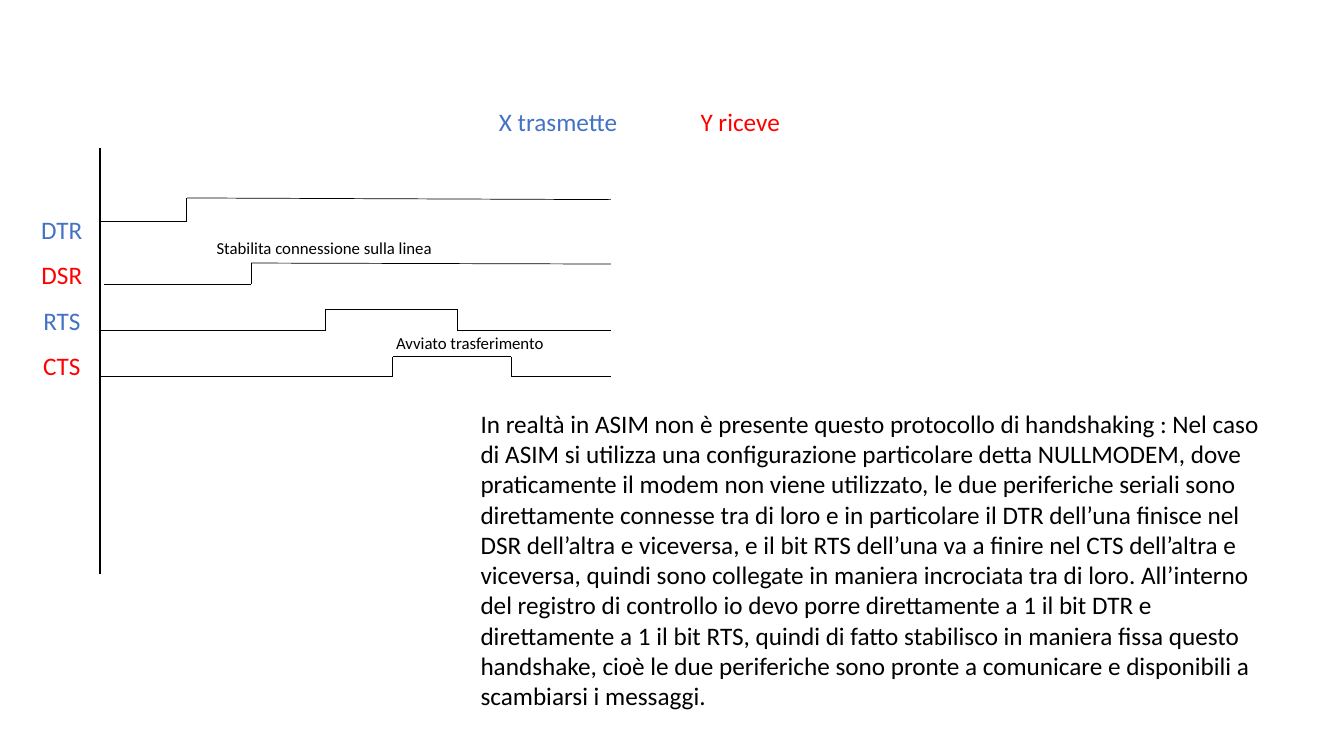
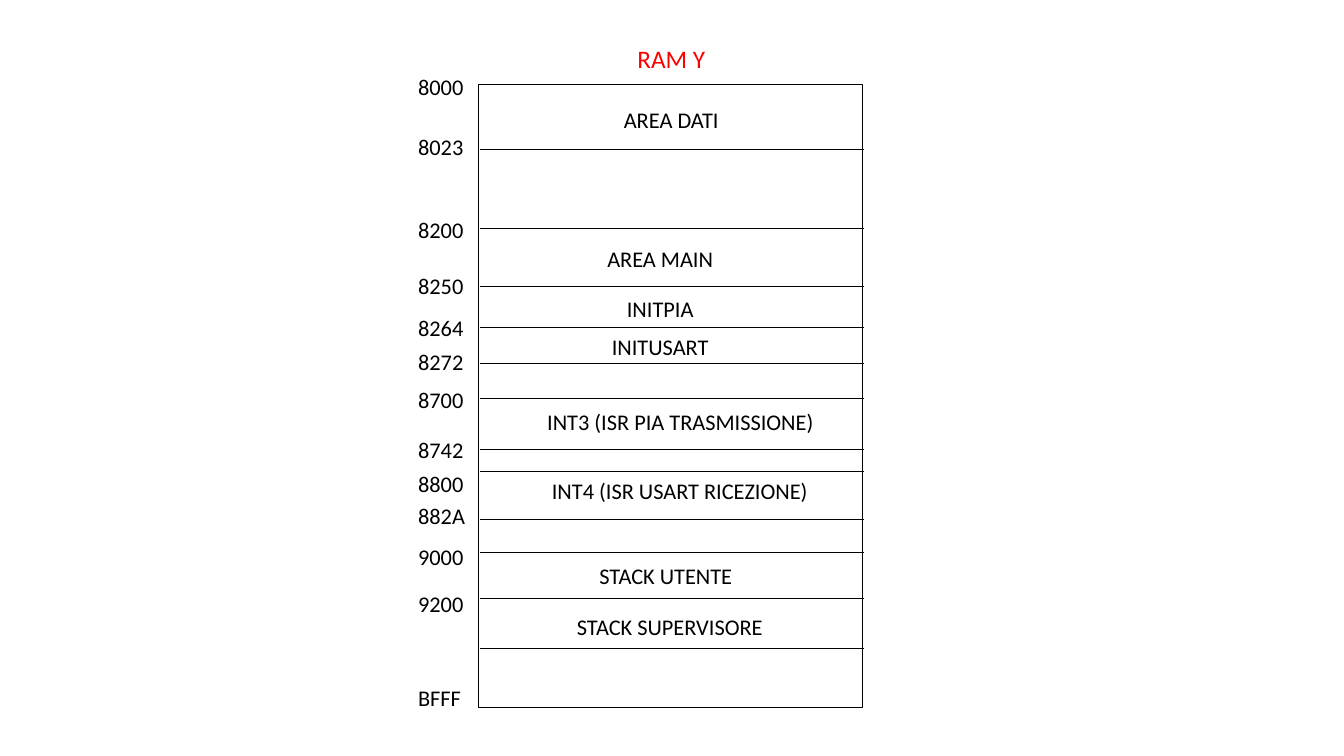
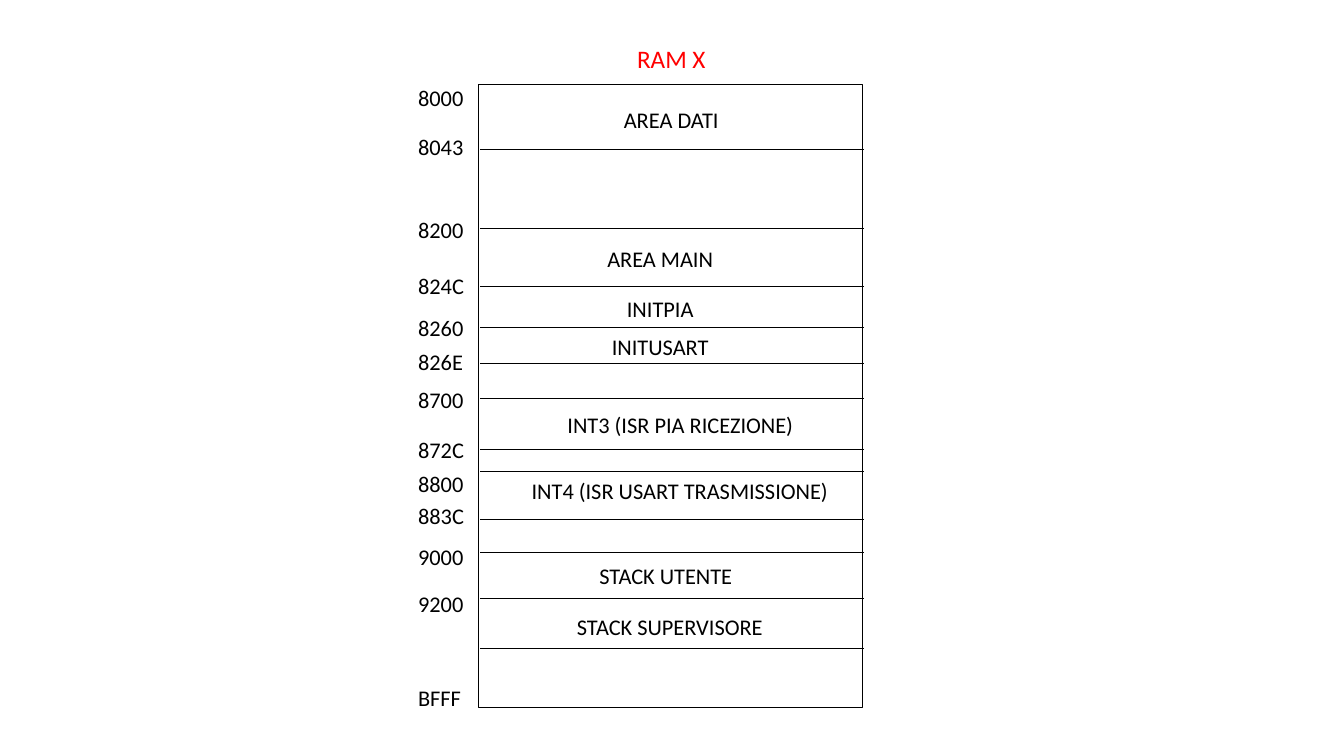
import pptx
import pptx.util
import pptx.dml.color
import pptx.enum.shapes
import pptx.enum.text
import pptx.oxml
import pptx.oxml.ns
import lxml.etree

Pt = pptx.util.Pt
Align = pptx.enum.text.PP_ALIGN
COLOURS = {"ink": "000000", "paper": "FFFFFF", "x": "4472C4", "y": "FF0000"}
FONT = "Calibri"
HEADING_SIZE, AREA_SIZE, NOTE_SIZE = 18, 16, 12


def colour(name):
    return pptx.dml.color.RGBColor.from_string(COLOURS[name])


class Deck:
    """Holds the shared style and the current slide."""

    def __init__(self):
        self.presentation = pptx.Presentation()
        self.presentation.slide_width = Pt(960)
        self.presentation.slide_height = Pt(540)
        self.slide = None

    def new_slide(self):
        self.slide = self.presentation.slides.add_slide(self.presentation.slide_layouts[5])

    def fill_text(self, shape, runs, size, align, wrap):
        frame = shape.text_frame
        frame.word_wrap = wrap
        frame.auto_size = pptx.enum.text.MSO_AUTO_SIZE.SHAPE_TO_FIT_TEXT
        frame.vertical_anchor = pptx.enum.text.MSO_ANCHOR.TOP
        paragraph = frame.paragraphs[0]
        paragraph.alignment = align
        # Tab stops one inch apart
        paragraph._p.get_or_add_pPr().set("defTabSz", str(Pt(72)))
        for text, name in runs:
            run = paragraph.add_run()
            run.text = text
            run.font.size = Pt(size)
            run.font.name = FONT
            run.font.color.rgb = colour(name)

    def title(self, runs, left, top, width, align=Align.CENTER):
        shape = self.slide.shapes.title
        shape.left, shape.top, shape.width, shape.height = Pt(left), Pt(top), Pt(width), Pt(28.8)
        self.fill_text(shape, runs, HEADING_SIZE, align, True)

    def text(self, text, left, top, width, height, size, name="ink", align=Align.LEFT, wrap=True):
        shape = self.slide.shapes.add_textbox(Pt(left), Pt(top), Pt(width), Pt(height))
        self.fill_text(shape, [(text, name)], size, align, wrap)

    def line(self, start, end, weight=0.5):
        connector = self.slide.shapes.add_connector(
            pptx.enum.shapes.MSO_CONNECTOR.STRAIGHT, Pt(start[0]), Pt(start[1]), Pt(end[0]), Pt(end[1]))
        connector.line.color.rgb = colour("ink")
        connector.line.width = Pt(weight)
        lxml.etree.SubElement(connector._element.spPr, pptx.oxml.ns.qn("a:effectLst"))

    def waveform(self, points):
        for start, end in zip(points, points[1:]):
            self.line(start, end)

    def frame(self, left, top, width, height):
        shape = self.slide.shapes.add_shape(
            pptx.enum.shapes.MSO_SHAPE.RECTANGLE, Pt(left), Pt(top), Pt(width), Pt(height))
        shape.shadow.inherit = False
        shape.fill.solid()
        shape.fill.fore_color.rgb = colour("paper")
        shape.line.color.rgb = colour("ink")
        shape.line.width = Pt(1)

    def memory_map(self, name, addresses, areas):
        self.new_slide()
        self.title([(name, "y")], 429.1, 27.4, 100.8)
        self.frame(MAP_LEFT, 60.5, MAP_WIDTH, 445)
        for y in DIVIDERS:
            self.line((MAP_LEFT + 1, y), (MAP_LEFT + MAP_WIDTH + 1, y))
        for address, top in addresses:
            self.text(address, 291.6, top, 50.4, 26.6, AREA_SIZE)
        for area, centre, top, width in areas:
            self.text(area, centre - width / 2, top, width, 26.6, AREA_SIZE, align=Align.CENTER)


deck = Deck()

# Slide 1: handshake timing
AXIS, END = 71.3, 436.3
deck.new_slide()
deck.title([("X trasmette\t", "x"), ("Y riceve", "y")], 349.2, 72, 217.4, Align.LEFT)
deck.line((AXIS, 105.8), (AXIS, 409.7), 1.5)
for index, (signal, side) in enumerate([("DTR", "x"), ("DSR", "y"), ("RTS", "x"), ("CTS", "y")]):
    deck.text(signal, 22.2, 149.8 + 32.2 * index, 44, 28.8, HEADING_SIZE, side, Align.CENTER, False)

# Lines that rise once and stay high
for start, rise, low, high, high_end in [(AXIS, 133.4, 158.4, 141.4, 142.6),
                                         (74.2, 179.3, 203, 187.9, 188.6)]:
    deck.waveform([(start, low), (rise, low), (rise, high), (END, high_end)])
# Lines that pulse
for rise, fall, low, high in [(232.6, 326.9, 236.2, 221), (280.4, 365, 268.8, 254.9)]:
    deck.waveform([(AXIS, low), (rise, low), (rise, high), (fall, high), (fall, low), (END, low)])

deck.text("Stabilita connessione sulla linea", 147.6, 166.3, 169.9, 21.6, NOTE_SIZE, wrap=False)
deck.text("Avviato trasferimento", 275.8, 234, 121, 21.6, NOTE_SIZE, wrap=False)
deck.text(
    "In realtà in ASIM non è presente questo protocollo di handshaking : Nel caso di ASIM si utilizza "
    "una configurazione particolare detta NULLMODEM, dove praticamente il modem non viene utilizzato, "
    "le due periferiche seriali sono direttamente connesse tra di loro e in particolare il DTR dell’una "
    "finisce nel DSR dell’altra e viceversa, e il bit RTS dell’una va a finire nel CTS dell’altra e "
    "viceversa, quindi sono collegate in maniera incrociata tra di loro. All’interno del registro di "
    "controllo io devo porre direttamente a 1 il bit DTR e direttamente a 1 il bit RTS, quindi di fatto "
    "stabilisco in maniera fissa questo handshake, cioè le due periferiche sono pronte a comunicare e "
    "disponibili a scambiarsi i messaggi.",
    336.2, 288, 580.3, 225.4, HEADING_SIZE)

# Slides 2 and 3: memory maps
MAP_LEFT, MAP_WIDTH = 342, 274.3
DIVIDERS = [106.6, 163.4, 204.5, 234, 259.2, 284.4, 321.1, 337, 370.8, 394.6, 427.7, 463]
ADDRESS_TOPS = [91.4, 151.2, 190.8, 221, 244.8, 272.2, 308.2, 332.6, 355, 384.5, 418.3, 485.3]
SHARED_AREAS = [
    ("AREA DATI", 479.5, 72, 100.8),
    ("AREA MAIN", 471.6, 171.4, 100.8),
    ("INITPIA", 471.6, 207.4, 100.8),
    ("INITUSART", 471.6, 234.7, 100.8),
    ("STACK UTENTE", 475.6, 398.2, 120.2),
    ("STACK SUPERVISORE", 478.4, 434.2, 159.1),
]
MAPS = [
    ("RAM Y", 49, "8023 8200 8250 8264 8272 8700 8742 8800 882A 9000 9200 BFFF",
     ("INT3 (ISR PIA TRASMISSIONE)", 486, 288, 213.1), "INT4 (ISR USART RICEZIONE)"),
    ("RAM X", 56.9, "8043 8200 824C 8260 826E 8700 872C 8800 883C 9000 9200 BFFF",
     ("INT3 (ISR PIA RICEZIONE)", 486, 290.2, 189.4), "INT4 (ISR USART TRASMISSIONE)"),
]
for name, first_top, addresses, pia_area, usart_name in MAPS:
    labels = [("8000", first_top), *zip(addresses.split(), ADDRESS_TOPS)]
    deck.memory_map(name, labels, SHARED_AREAS + [pia_area, (usart_name, 485.6, 337, 236.9)])

deck.presentation.save("out.pptx")
